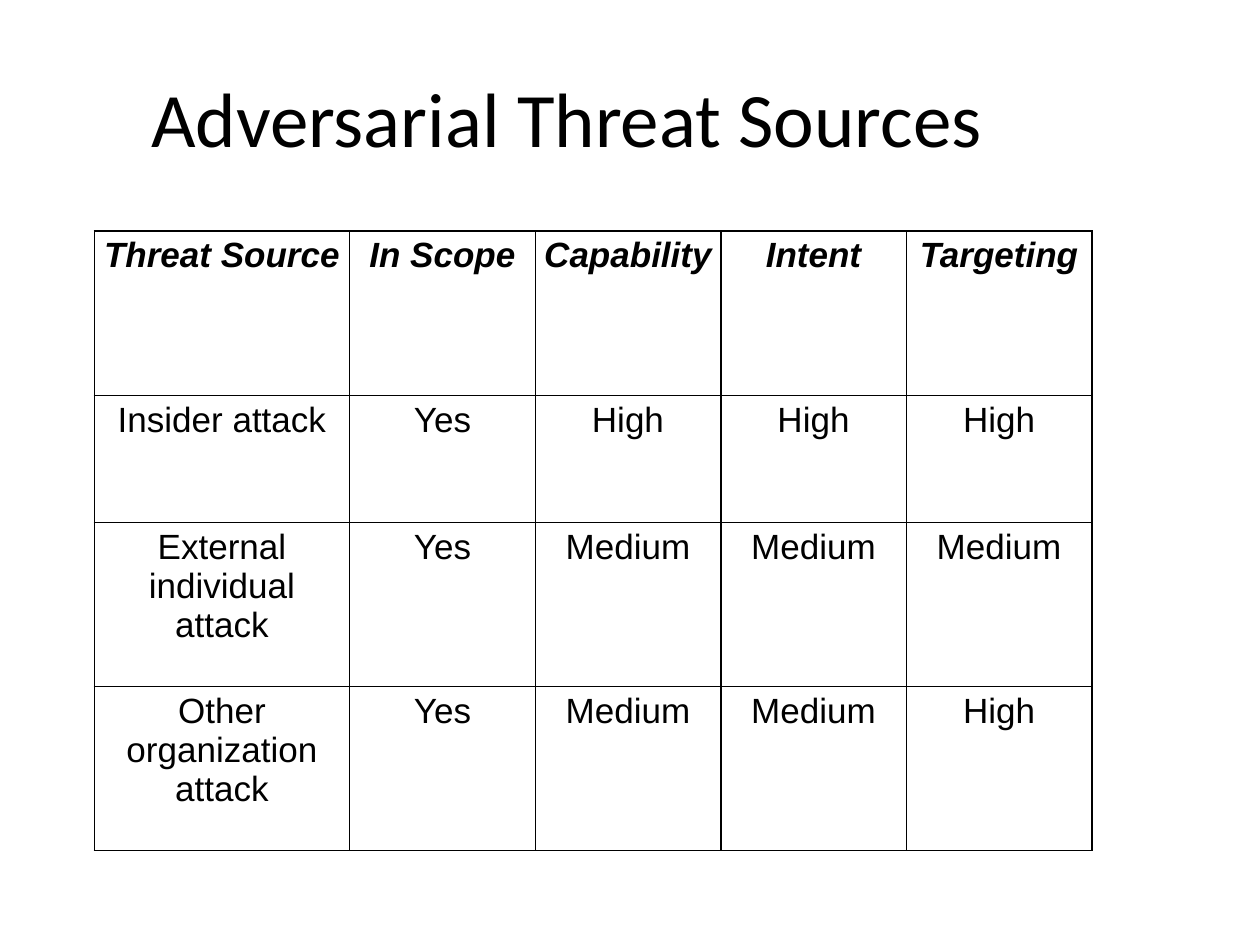
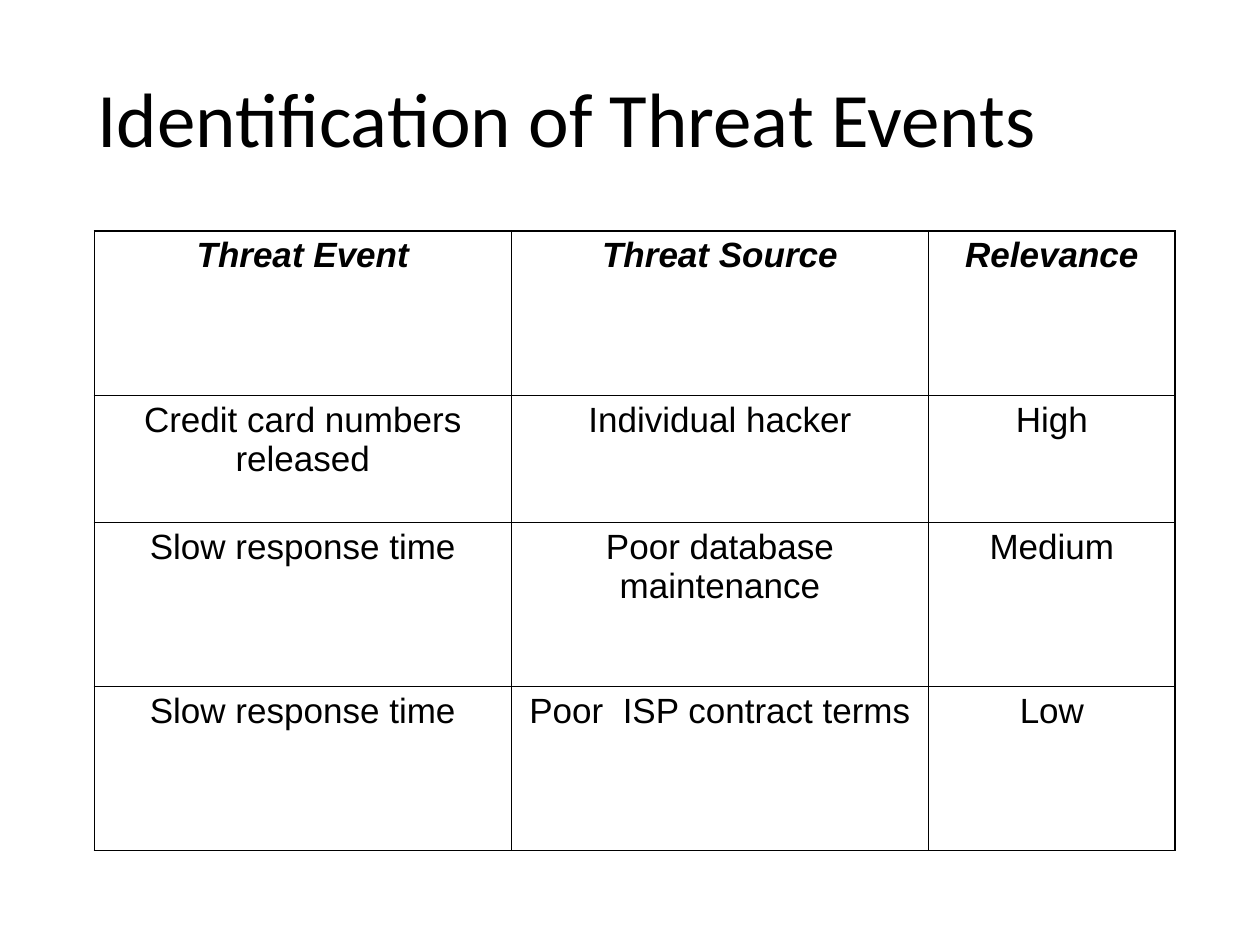
"""Build two slides that tabulate threat sources and threat events."""

import dataclasses

import lxml.etree
import pptx
import pptx.dml.color
import pptx.enum.text
import pptx.oxml.ns
import pptx.util
from pptx.util import Cm


@dataclasses.dataclass(frozen=True)
class Theme:
    ink: str = "000000"
    paper: str = "FFFFFF"
    title_font: str = "Calibri"
    table_font: str = "Arial"
    title_size: int = 44
    table_size: int = 20
    border_width: int = 1


theme = Theme()
CENTER = pptx.enum.text.PP_ALIGN.CENTER
MIDDLE = pptx.enum.text.MSO_ANCHOR.MIDDLE
row_heights = [3.31, 2.56, 3.31, 3.31]
cell_margin = Cm(0.1)

threat_slides = [
    (
        "Adversarial Threat Sources",
        [5.15, 3.74, 3.74, 3.74, 3.74],
        [
            ["Threat Source", "In Scope", "Capability", "Intent", "Targeting"],
            ["Insider attack", "Yes", "High", "High", "High"],
            ["External individual attack", "Yes", "Medium", "Medium", "Medium"],
            ["Other organization attack", "Yes", "Medium", "Medium", "High"],
        ],
    ),
    (
        "Identification of Threat Events",
        [8.41, 8.41, 4.97],
        [
            ["Threat Event", "Threat Source", "Relevance"],
            ["Credit card numbers released", "Individual hacker", "High"],
            ["Slow response time", "Poor database maintenance", "Medium"],
            ["Slow response time", "Poor  ISP contract terms", "Low"],
        ],
    ),
]


def write_centered(text_frame, text, font_name, size, emphasis=False):
    paragraph = text_frame.paragraphs[0]
    paragraph.alignment = CENTER
    run = paragraph.add_run()
    run.text = text
    run.font.name = font_name
    run.font.size = pptx.util.Pt(size)
    run.font.bold = run.font.italic = emphasis
    run.font.color.rgb = pptx.dml.color.RGBColor.from_string(theme.ink)


def draw_borders(cell):
    qualified = pptx.oxml.ns.qn
    properties = cell._tc.get_or_add_tcPr()
    for side in ("a:lnL", "a:lnR", "a:lnT", "a:lnB"):
        line = lxml.etree.SubElement(properties, qualified(side))
        line.set("w", str(pptx.util.Pt(theme.border_width)))
        fill = lxml.etree.SubElement(line, qualified("a:solidFill"))
        lxml.etree.SubElement(fill, qualified("a:srgbClr")).set("val", theme.ink)


presentation = pptx.Presentation()
presentation.slide_width = Cm(25.4)
presentation.slide_height = Cm(19.05)

for title, column_widths, rows in threat_slides:
    slide = presentation.slides.add_slide(presentation.slide_layouts[6])
    slide.background.fill.solid()
    slide.background.fill.fore_color.rgb = pptx.dml.color.RGBColor.from_string(theme.paper)

    table = slide.shapes.add_table(
        len(rows), len(column_widths), Cm(1.9), Cm(4.66),
        Cm(sum(column_widths)), Cm(sum(row_heights)),
    ).table
    table.horz_banding = False
    for column, width in zip(table.columns, column_widths):
        column.width = Cm(width)
    for row, height in zip(table.rows, row_heights):
        row.height = Cm(height)

    for row_index, row_texts in enumerate(rows):
        for column_index, text in enumerate(row_texts):
            cell = table.cell(row_index, column_index)
            cell.margin_left = cell.margin_right = cell_margin
            cell.margin_top = cell.margin_bottom = cell_margin
            draw_borders(cell)
            cell.fill.background()
            write_centered(cell.text_frame, text, theme.table_font,
                           theme.table_size, emphasis=row_index == 0)

    title_box = slide.shapes.add_textbox(Cm(0), Cm(0.76), Cm(22.86), Cm(3.18))
    title_box.text_frame.word_wrap = True
    title_box.text_frame.vertical_anchor = MIDDLE
    write_centered(title_box.text_frame, title, theme.title_font, theme.title_size)

presentation.save("out.pptx")
